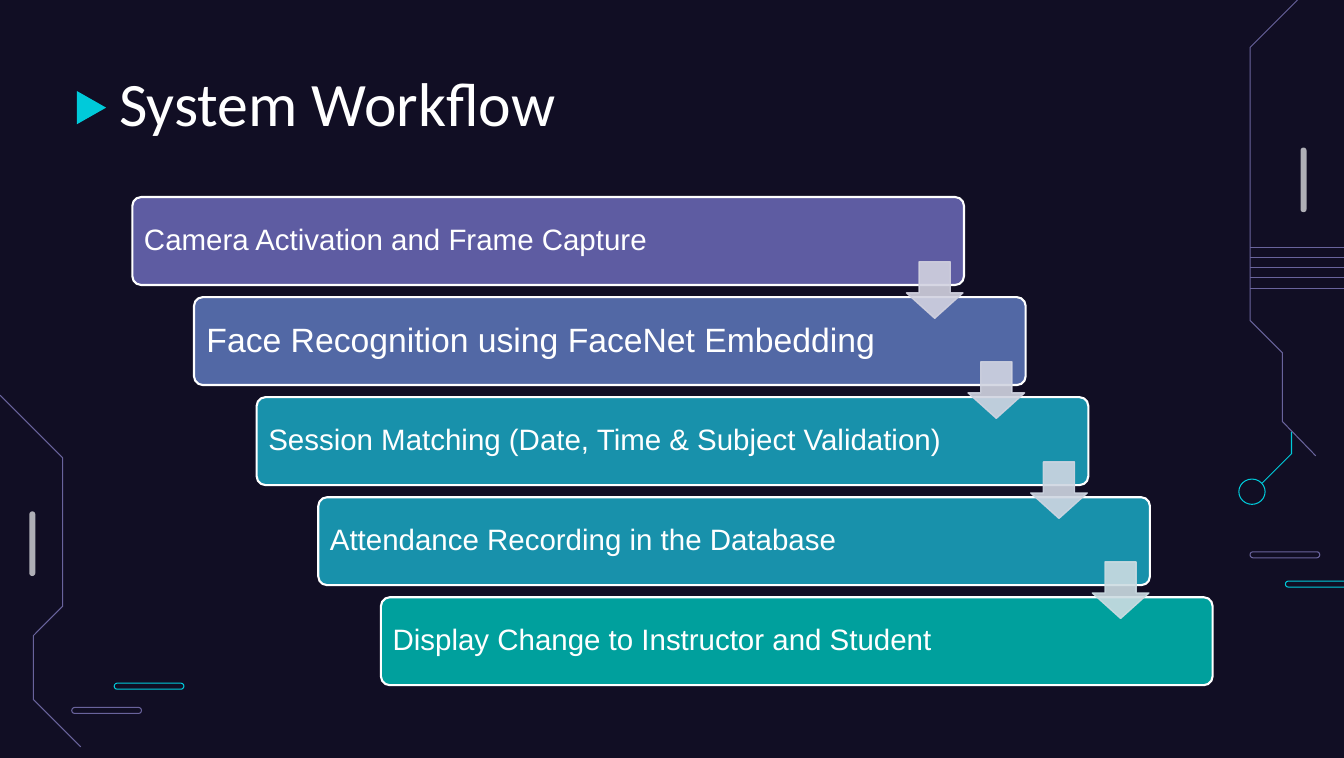
from lxml.etree import SubElement
from pptx import Presentation
from pptx.dml.color import RGBColor
from pptx.enum.shapes import MSO_CONNECTOR, MSO_SHAPE
from pptx.enum.text import MSO_ANCHOR, PP_ALIGN
from pptx.oxml.ns import qn
from pptx.util import Pt

PX = 9144
WIDTH, HEIGHT = 1330, 750
PURPLE, CYAN, GREY, WHITE = "69639C", "00CADA", "AFAFB6", "FFFFFF"
STEPS = [
    ("Camera Activation and Frame Capture", 21, "5E5CA2"),
    ("Face Recognition using FaceNet Embedding", 24, "5268A5"),
    ("Session Matching (Date, Time & Subject Validation)", 21, "1891AB"),
    ("Attendance Recording in the Database", 21, "1891AB"),
    ("Display Change to Instructor and Student", 21, "00A09D"),
]
ARROW_COLORS = ["D2D2E0", "D1D4E1", "CFD6E2", "CCDCE2"]


def color(hex_text):
    """Turn a hex string into a colour."""
    return RGBColor.from_string(hex_text)


def paint(shape, fill=None, line=None, weight=0.75):
    """Set the fill and outline of a shape and remove its shadow."""
    shape.shadow.inherit = False
    if fill:
        shape.fill.solid()
        shape.fill.fore_color.rgb = color(fill)
    else:
        shape.fill.background()
    if line:
        shape.line.color.rgb = color(line)
        shape.line.width = Pt(weight)
    else:
        shape.line.fill.background()


def add_preset(slide, kind, box, **style):
    """Add a painted preset shape in a box given in px."""
    shape = slide.shapes.add_shape(kind, *(length * PX for length in box))
    paint(shape, **style)
    return shape


def add_capsule(slide, box, **style):
    """Add a fully rounded bar."""
    capsule = add_preset(slide, MSO_SHAPE.ROUNDED_RECTANGLE, box, **style)
    capsule.adjustments[0] = 0.5


def add_trace(slide, left, top, points, line):
    """Add an open circuit trace through points relative to left and top."""
    placed = [(left + x, top + y) for x, y in points]
    builder = slide.shapes.build_freeform(*placed[0], scale=PX)
    builder.add_line_segments(placed[1:], close=False)
    paint(builder.convert_to_shape(), line=line)


def add_rule(slide, left, right, top):
    """Add a thin horizontal line."""
    rule = slide.shapes.add_connector(
        MSO_CONNECTOR.STRAIGHT, left * PX, top * PX, right * PX, top * PX)
    rule.line.color.rgb = color(PURPLE)
    rule.line.width = Pt(0.75)
    SubElement(rule._element.spPr, qn("a:effectLst"))


def set_run(paragraph, font_name, size):
    """Format the runs of a paragraph in white."""
    for run in paragraph.runs:
        run.font.name = font_name
        run.font.size = Pt(size)
        run.font.color.rgb = color(WHITE)


def add_right_circuit(slide, left, top):
    """Draw the circuit decoration along the right edge."""
    add_capsule(slide, (left + 35, top + 575, 69, 6), line=CYAN)
    add_capsule(slide, (left, top + 546, 69, 6), line=PURPLE)
    add_capsule(slide, (left + 50, top + 146, 6, 64), fill=GREY)
    add_trace(slide, left, top, [(12, 478), (41, 449), (41, 427)], CYAN)
    add_preset(slide, MSO_SHAPE.OVAL, (left - 11, top + 474, 26, 25), line=CYAN)
    for index in range(5):
        add_rule(slide, left, WIDTH, top + 245 + 10 * index)
    outline = [(47, 0), (0, 47), (0, 317), (32, 349), (32, 417), (65, 451)]
    add_trace(slide, left, top, outline, PURPLE)


def add_left_circuit(slide, left, top):
    """Draw the circuit decoration in the lower left corner."""
    add_capsule(slide, (left + 113, top + 285, 69, 6), line=CYAN)
    add_capsule(slide, (left + 71, top + 309, 69, 6), line=PURPLE)
    add_capsule(slide, (left + 29, top + 115, 6, 64), fill=GREY)
    outline = [(0, 0), (62, 62), (62, 209), (33, 238), (33, 301), (80, 348)]
    add_trace(slide, left, top, outline, PURPLE)


def add_title(slide, left, top, width, height):
    """Place the title with its triangle marker on the left."""
    marker = add_preset(slide, MSO_SHAPE.FLOWCHART_MERGE,
                        (left - 34, top + 33, 33, 29), fill=CYAN)
    marker.rotation = 270
    title = slide.shapes.title
    title.left, title.top = left * PX, top * PX
    title.width, title.height = width * PX, height * PX
    title.text_frame.text = "System Workflow"
    title.text_frame.vertical_anchor = MSO_ANCHOR.MIDDLE
    paragraph = title.text_frame.paragraphs[0]
    paragraph.alignment = PP_ALIGN.LEFT
    set_run(paragraph, "Calibri", 44)


def add_step(slide, box, text, size, fill):
    """Add one workflow step with its text."""
    step = add_preset(slide, MSO_SHAPE.ROUNDED_RECTANGLE, box,
                      fill=fill, line=WHITE, weight=1.5)
    step.adjustments[0] = 0.1
    frame = step.text_frame
    frame.text = text
    frame.word_wrap = True
    frame.vertical_anchor = MSO_ANCHOR.MIDDLE
    frame.margin_left = frame.margin_right = (9 if size < 24 else 10) * PX
    paragraph = frame.paragraphs[0]
    paragraph.alignment = PP_ALIGN.LEFT
    paragraph.line_spacing = 0.9
    set_run(paragraph, "Arial", size)


def add_step_arrow(slide, box, fill):
    """Add a slightly transparent down arrow."""
    arrow = add_preset(slide, MSO_SHAPE.DOWN_ARROW, box,
                       fill=fill, line=fill, weight=1)
    arrow.adjustments[0], arrow.adjustments[1] = 0.55, 0.45
    for tint in arrow._element.spPr.iter(qn("a:srgbClr")):
        SubElement(tint, qn("a:alpha"), val="90000")


def add_workflow(slide, left, top, width, height):
    """Lay out the staircase of steps and the arrows between them."""
    step_width, step_height = 823, 87
    last = len(STEPS) - 1
    corners = [(left + (width - step_width) * index // last,
                top + (height - step_height) * index // last)
               for index in range(len(STEPS))]
    for (x, y), step in zip(corners, STEPS):
        add_step(slide, (x, y, step_width, step_height), *step)
    for (x, y), fill in zip(corners, ARROW_COLORS):
        add_step_arrow(slide, (x + 766, y + 64, 56, 56), fill)


def main():
    """Build and save the presentation."""
    presentation = Presentation()
    presentation.slide_width = WIDTH * PX
    presentation.slide_height = HEIGHT * PX
    slide = presentation.slides.add_slide(presentation.slide_layouts[5])
    slide.background.fill.solid()
    slide.background.fill.fore_color.rgb = color("110E24")
    add_right_circuit(slide, 1237, 0)
    add_left_circuit(slide, 0, 391)
    add_title(slide, 108, 59, 692, 84)
    add_workflow(slide, 131, 195, 1069, 483)
    presentation.save("out.pptx")


if __name__ == "__main__":
    main()
